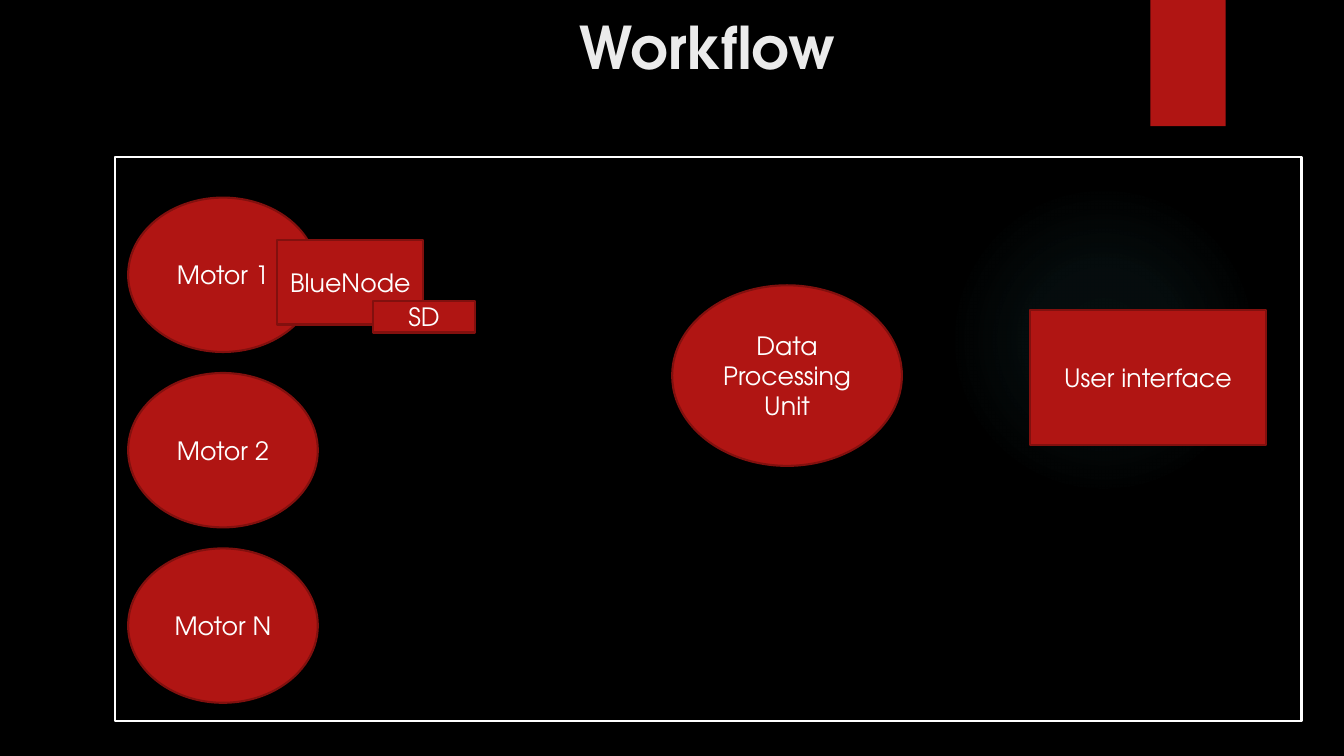
from dataclasses import dataclass

from lxml.etree import SubElement
from pptx import Presentation
from pptx.dml.color import RGBColor
from pptx.enum.shapes import MSO_SHAPE
from pptx.enum.text import MSO_ANCHOR, PP_ALIGN
from pptx.oxml.ns import qn
from pptx.util import Cm, Pt


@dataclass(frozen=True)
class Theme:
    background: str = "000000"
    accent: str = "B01513"
    outline: str = "82100E"
    glow: str = "50B9C1"
    heading: str = "EBEBEB"
    light: str = "FFFFFF"
    typeface: str = "TeX Gyre Adventor"
    heading_size: int = 42
    label_size: int = 18
    border: float = 1.5


THEME = Theme()


def set_text(frame, wording, anchor, color, size, bold=False):
    frame.text = wording
    frame.word_wrap = True
    frame.vertical_anchor = anchor
    paragraph = frame.paragraphs[0]
    paragraph.alignment = PP_ALIGN.CENTER
    font = paragraph.runs[0].font
    formats = {"name": THEME.typeface, "size": Pt(size), "bold": bold}
    for attribute, value in formats.items():
        setattr(font, attribute, value)
    font.color.rgb = RGBColor.from_string(color)


def add_figure(slide, form, box, fill=None, line=None):
    figure = slide.shapes.add_shape(form, *map(Cm, box))
    figure.shadow.inherit = False
    if fill:
        figure.fill.solid()
        figure.fill.fore_color.rgb = RGBColor.from_string(fill)
    else:
        figure.fill.background()
    if line:
        figure.line.color.rgb = RGBColor.from_string(line)
        figure.line.width = Pt(THEME.border)
    else:
        figure.line.fill.background()
    return figure


def add_node(slide, form, box, label):
    node = add_figure(slide, form, box, THEME.accent, THEME.outline)
    set_text(node.text_frame, label, MSO_ANCHOR.MIDDLE, THEME.light, THEME.label_size)


def add_glow(slide, box):
    glow = add_figure(slide, MSO_SHAPE.OVAL, box)
    glow.fill.gradient()
    gradient = glow.fill._xPr.find(qn("a:gradFill"))
    for child in list(gradient):
        gradient.remove(child)
    stops = SubElement(gradient, qn("a:gsLst"))
    for position, opacity in ((0, 7), (36, 6), (69, 0)):
        stop = SubElement(stops, qn("a:gs"), pos=str(position * 1000))
        color = SubElement(stop, qn("a:srgbClr"), val=THEME.glow)
        SubElement(color, qn("a:alpha"), val=str(opacity * 1000))
    circle = SubElement(gradient, qn("a:path"), path="circle")
    center = dict.fromkeys("ltrb", "50000")
    SubElement(circle, qn("a:fillToRect"), **center)


def add_backdrop(slide, width):
    slide.background.fill.solid()
    slide.background.fill.fore_color.rgb = RGBColor.from_string(THEME.background)
    add_glow(slide, (width - 9.97, 4.65, 7.82, 7.82))
    add_figure(slide, MSO_SHAPE.RECTANGLE, (width - 4.88, 0, 1.9, 3.18), THEME.accent)


def add_heading(slide, box, wording):
    heading = slide.shapes.title
    for attribute, value in zip(("left", "top", "width", "height"), box):
        setattr(heading, attribute, Cm(value))
    set_text(heading.text_frame, wording, MSO_ANCHOR.TOP, THEME.heading,
             THEME.heading_size, True)


def add_motors(slide, box):
    left, top, width, height = box
    motor_height = 3.89
    labels = ("Motor 1", "Motor 2", "Motor N")
    pitch = (height - motor_height) / (len(labels) - 1)
    for index, label in enumerate(labels):
        motor_box = (left, top + index * pitch, width, motor_height)
        add_node(slide, MSO_SHAPE.OVAL, motor_box, label)
    add_node(slide, MSO_SHAPE.RECTANGLE, (left + 3.76, top + 1.07, 3.68, 2.13), "BlueNode")
    add_node(slide, MSO_SHAPE.RECTANGLE, (left + 6.17, top + 2.61, 2.57, 0.79), "SD")


def add_workflow(slide, box):
    left, top, width, height = box
    add_figure(slide, MSO_SHAPE.RECTANGLE, box, line=THEME.light)
    add_motors(slide, (left + 0.33, top + 1.02, 4.78, 12.73))
    add_node(slide, MSO_SHAPE.OVAL, (left + 14.04, top + 3.23, 5.79, 4.55),
             "Data Processing Unit")
    add_node(slide, MSO_SHAPE.RECTANGLE, (left + width - 6.84, top + 3.86, 5.94, 3.4),
             "User interface")


def main():
    deck = Presentation()
    width, height = 33.87, 19.05
    deck.slide_width, deck.slide_height = Cm(width), Cm(height)
    slide = deck.slides.add_slide(deck.slide_layouts[5])
    add_backdrop(slide, width)
    add_heading(slide, (3.23, 0.13, 29.21, 3.81), "Workflow")
    add_workflow(slide, (2.9, 3.96, 29.9, 14.2))
    deck.save("out.pptx")


if __name__ == "__main__":
    main()
